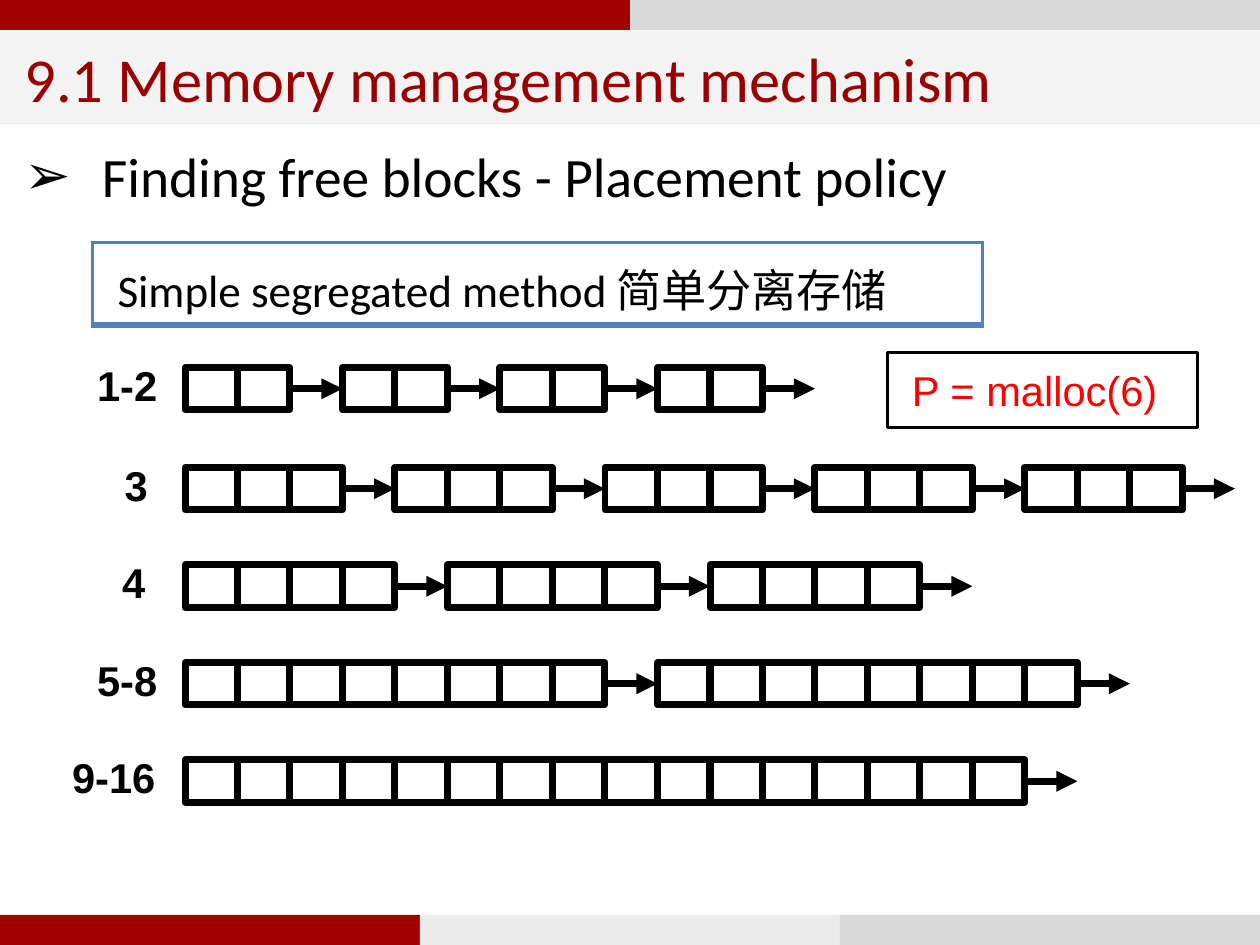
from lxml import etree
from pptx import Presentation, util as u
from pptx.dml.color import RGBColor
from pptx.enum import shapes, text
from pptx.oxml import parse_xml
from pptx.oxml.ns import nsdecls, qn

PX = 9144  # EMU per px, 100 px to the inch
COLORS = {
    "red": "A30000", "title": "990000", "gray": "D9D9D9", "light": "ECECEC",
    "title_bg": "F3F3F3", "white": "FFFFFF", "black": "000000",
    "blue": "4F81BD", "call": "FF0000",
}
CELL_W, CELL_H, LISTS_X = 21, 17, 74

# x, y, width, height, color
BANDS = [
    (0, 0, 252, 12, "red"), (252, 0, 252, 12, "gray"),
    (0, 366, 168, 12, "red"), (168, 366, 168, 12, "light"),
    (336, 366, 168, 12, "gray"),
]
# label, label x, label width, top of cells, cells per block, blocks
FREE_LISTS = [
    ("1-2", 29, 44, 147, 2, 4),
    ("3", 40, 30, 187, 3, 5),
    ("4", 39, 30, 226, 4, 3),
    ("5-8", 29, 44, 265, 8, 2),
    ("9-16", 19, 54, 304, 16, 1),
]


def px(*values):
    return [v * PX for v in values]


def rgb(name):
    return RGBColor.from_string(COLORS[name])


def add_run(p, words, size, font, color, bold=False):
    r = p.add_run()
    r.text = words
    r.font.size, r.font.name, r.font.bold = u.Pt(size), font, bold
    r.font.color.rgb = rgb(color)


def add_rect(s, x, y, w, h, fill=None, line_pt=0):
    sp = s.shapes.add_shape(shapes.MSO_SHAPE.RECTANGLE, *px(x, y, w, h))
    sp.shadow.inherit = False
    if fill:
        sp.fill.solid()
        sp.fill.fore_color.rgb = rgb(fill)
    else:
        sp.fill.background()
    if line_pt:
        sp.line.color.rgb = rgb("black")
        sp.line.width = u.Pt(line_pt)
    else:
        sp.line.fill.background()
    return sp


def write(sp, words, size, font, color, anchor=text.MSO_ANCHOR.MIDDLE):
    tf = sp.text_frame
    tf.word_wrap = True
    tf.vertical_anchor = anchor
    p = tf.paragraphs[0]
    p.alignment = text.PP_ALIGN.LEFT
    add_run(p, words, size, font, color)
    return tf


def add_heading(s, words):
    sp = add_rect(s, 0, 50, 504, 316, "white")
    tf = write(sp, words, 16, "Calibri", "black", text.MSO_ANCHOR.TOP)
    tf.margin_top = 7 * PX
    pPr = tf.paragraphs[0]._p.get_or_add_pPr()
    pPr.set("marL", str(31 * PX))
    pPr.set("indent", str(-31 * PX))
    etree.SubElement(pPr, qn("a:buFont")).set("typeface", "Arial")
    etree.SubElement(pPr, qn("a:buChar")).set("char", "➢")


def add_label(s, words, x, y, w):
    tf = s.shapes.add_textbox(*px(x, y, w, 30)).text_frame
    tf.word_wrap = False
    add_run(tf.paragraphs[0], words, 12, "Arial", "black", bold=True)


def add_arrow(s, start, target=None):
    x = start.left + start.width
    y = start.top + start.height // 2
    c = s.shapes.add_connector(shapes.MSO_CONNECTOR.STRAIGHT,
                               x, y, x + CELL_W * PX, y)
    c.begin_connect(start, 3)
    if target is not None:
        c.end_connect(target, 1)
    c.line.color.rgb = rgb("black")
    c.line.width = u.Pt(2)
    etree.SubElement(c.line._get_or_add_ln(), qn("a:tailEnd")).set("type", "triangle")
    etree.SubElement(c._element.spPr, qn("a:effectLst"))


def add_free_list(s, label, label_x, label_w, top, size, count):
    add_label(s, label, label_x, top - 8, label_w)
    blocks = []
    for b in range(count):
        x = LISTS_X + b * (size + 1) * CELL_W
        blocks.append([add_rect(s, x + i * CELL_W, top, CELL_W, CELL_H, "white", 2)
                       for i in range(size)])
    for block, following in zip(blocks, blocks[1:] + [None]):
        add_arrow(s, block[-1], following[0] if following else None)


def add_method_table(s, words):
    table = s.shapes.add_table(1, 1, *px(37, 97, 356, 33)).table
    table.first_row = table.horz_banding = False
    cell = table.cell(0, 0)
    cell.fill.background()
    add_run(cell.text_frame.paragraphs[0], words, 13, "Calibri", "black")
    tcPr = cell._tc.get_or_add_tcPr()
    for i, (side, pt) in enumerate([("L", 1), ("R", 1), ("T", 1), ("B", 2)]):
        tcPr.insert(i, parse_xml(
            f'<a:ln{side} {nsdecls("a")} w="{u.Pt(pt)}"><a:solidFill>'
            f'<a:srgbClr val="{COLORS["blue"]}"/></a:solidFill></a:ln{side}>'))


def main():
    prs = Presentation()
    prs.slide_width, prs.slide_height = px(504, 378)
    s = prs.slides.add_slide(prs.slide_layouts[6])

    # Heading, bands and title
    add_heading(s, "Finding free blocks - Placement policy")
    for band in BANDS:
        add_rect(s, *band)
    title = add_rect(s, 0, 12, 504, 38, "title_bg")
    write(title, "9.1 Memory management mechanism", 18, "Calibri", "title")

    # Free lists by size class
    for free_list in FREE_LISTS:
        add_free_list(s, *free_list)

    # Method name and allocation call
    add_method_table(s, "Simple segregated method 简单分离存储")
    call = add_rect(s, 355, 141, 124, 30, line_pt=0.75)
    write(call, "P = malloc(6)", 12, "Arial", "call")

    prs.save("out.pptx")


if __name__ == "__main__":
    main()
